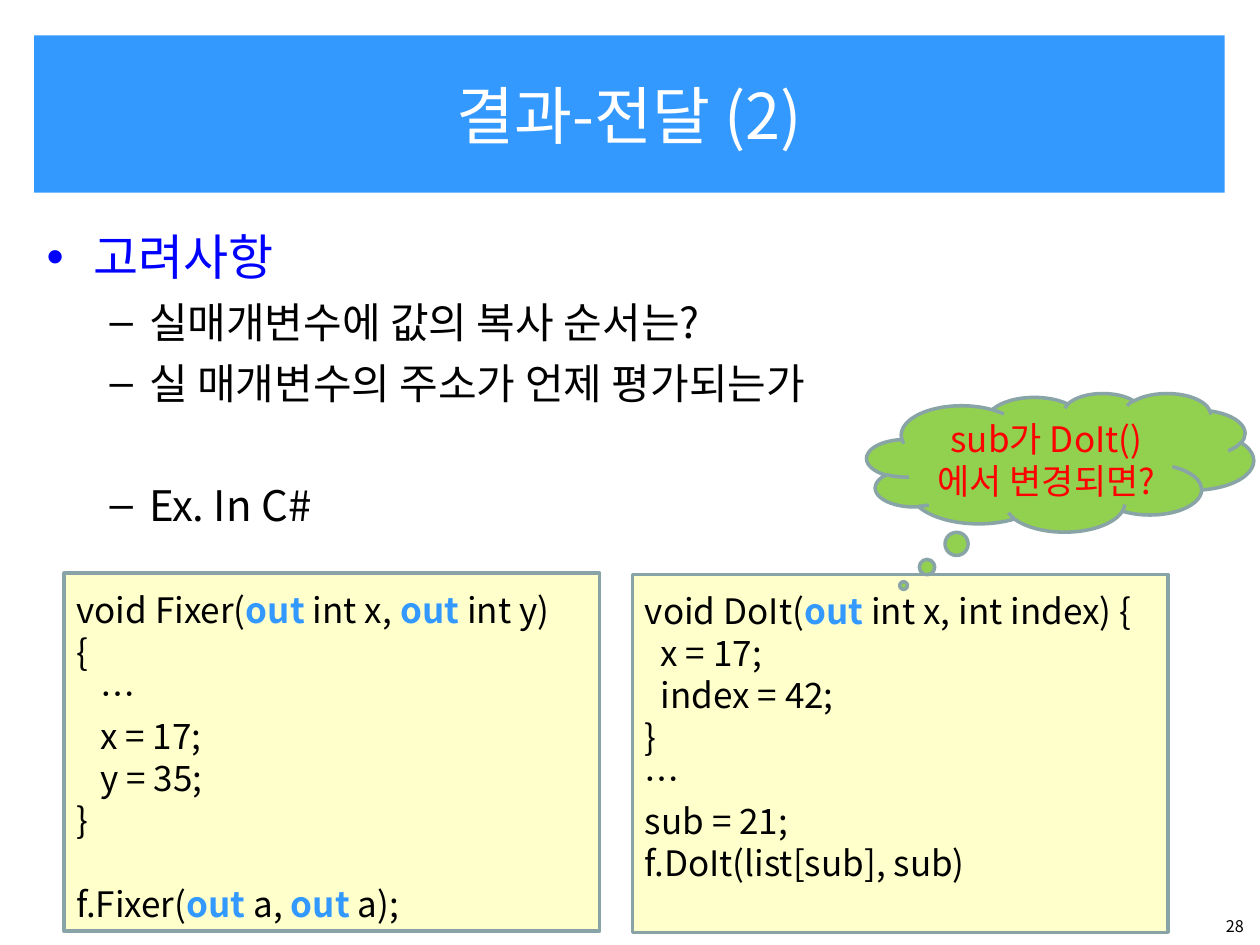
from lxml.etree import SubElement
from pptx import Presentation
from pptx.dml.color import RGBColor
from pptx.enum.shapes import MSO_SHAPE as Preset
from pptx.enum.text import MSO_ANCHOR as Anchor, PP_ALIGN as Align
from pptx.oxml.ns import qn
from pptx.util import Inches, Pt

FONT = "Noto Sans CJK KR"
LINE_HEIGHT = 1.2
CODE_SIZE = 20
KEYWORD = "out"

WHITE = RGBColor(0xFF, 0xFF, 0xFF)
BLACK = RGBColor(0x00, 0x00, 0x00)
SKY = RGBColor(0x33, 0x99, 0xFF)
BLUE = RGBColor(0x00, 0x00, 0xFF)
RED = RGBColor(0xFF, 0x00, 0x00)
CREAM = RGBColor(0xFF, 0xFF, 0xCC)
GREEN = RGBColor(0x92, 0xD0, 0x50)
GREY = RGBColor(0x89, 0xA4, 0xA7)

FIXER_CODE = [
    "void Fixer(out int x, out int y)",
    "{",
    "   …",
    "   x = 17;",
    "   y = 35;",
    "}",
    "",
    "f.Fixer(out a, out a);",
]
DOIT_CODE = [
    "void DoIt(out int x, int index) {",
    "  x = 17;",
    "  index = 42;",
    "}",
    "…",
    "sub = 21;",
    "f.DoIt(list[sub], sub)",
]


def format_run(run, size, color, bold=False):
    run.font.size = Pt(size)
    run.font.bold = bold
    run.font.color.rgb = color
    run.font.name = FONT
    SubElement(run._r.get_or_add_rPr(), qn("a:ea")).set("typeface", FONT)


def format_paragraph(paragraph, size, color, align=None):
    paragraph.alignment = align
    paragraph.line_spacing = Pt(size * LINE_HEIGHT)
    for run in paragraph.runs:
        format_run(run, size, color)


def place(shape, box):
    shape.left, shape.top, shape.width, shape.height = map(Inches, box)


def add_title(slide, box):
    title = slide.shapes.title
    place(title, box)
    title.fill.solid()
    title.fill.fore_color.rgb = SKY
    text_frame = title.text_frame
    text_frame.text = "결과-전달 (2)"
    text_frame.vertical_anchor = Anchor.MIDDLE
    format_paragraph(text_frame.paragraphs[0], 36, WHITE, Align.CENTER)


def add_considerations(slide, box):
    body = slide.placeholders[1]
    place(body, box)
    # text, level, size, colour, space before
    items = [
        ("고려사항", 0, 28, BLUE, 0),
        ("실매개변수에 값의 복사 순서는?", 1, 24, BLACK, 6),
        ("실 매개변수의 주소가 언제 평가되는가", 1, 24, BLACK, 6),
        ("Ex. In C#", 1, 24, BLACK, 41),
    ]
    text_frame = body.text_frame
    text_frame.text = "\n".join(item[0] for item in items)
    for paragraph, (_, level, size, color, gap) in zip(text_frame.paragraphs, items):
        paragraph.level = level
        paragraph.space_before = Pt(gap)
        format_paragraph(paragraph, size, color)


def add_outlined_shape(slide, preset, box, fill):
    shape = slide.shapes.add_shape(preset, *map(Inches, box))
    shape.shadow.inherit = False
    shape.fill.solid()
    shape.fill.fore_color.rgb = fill
    shape.line.color.rgb = GREY
    shape.line.width = Pt(2)
    shape.text_frame.word_wrap = True
    return shape


def add_code_line(paragraph, line):
    """Write one line of code with its keywords in bold blue."""
    for index, piece in enumerate(line.split(KEYWORD)):
        if index:
            run = paragraph.add_run()
            run.text = KEYWORD
            format_run(run, CODE_SIZE, SKY, bold=True)
        if piece:
            run = paragraph.add_run()
            run.text = piece
            format_run(run, CODE_SIZE, BLACK)


def add_code_box(slide, box, lines):
    """Draw a code box; an empty line becomes space before the next one."""
    text_frame = add_outlined_shape(slide, Preset.RECTANGLE, box, CREAM).text_frame
    text_frame.vertical_anchor = Anchor.TOP
    text_frame.margin_top = Inches(0.12)
    paragraph, gap = text_frame.paragraphs[0], 0
    for index, line in enumerate(lines):
        if not line:
            gap += CODE_SIZE * LINE_HEIGHT
            continue
        if index:
            paragraph = text_frame.add_paragraph()
        paragraph.alignment = Align.LEFT
        paragraph.line_spacing = Pt(CODE_SIZE * LINE_HEIGHT)
        paragraph.space_before = Pt(gap)
        add_code_line(paragraph, line)
        gap = 0


def add_question_cloud(slide, box):
    cloud = add_outlined_shape(slide, Preset.CLOUD_CALLOUT, box, GREEN)
    cloud.adjustments[0] = -0.405
    cloud.adjustments[1] = 0.889
    text_frame = cloud.text_frame
    text_frame.text = "sub가 DoIt()에서 변경되면?"
    text_frame.vertical_anchor = Anchor.MIDDLE
    format_paragraph(text_frame.paragraphs[0], 20, RED, Align.CENTER)


def add_page_number(slide, box):
    text_frame = slide.shapes.add_textbox(*map(Inches, box)).text_frame
    text_frame.word_wrap = True
    text_frame.text = "28"
    format_paragraph(text_frame.paragraphs[0], 9.2, BLACK, Align.RIGHT)


def main():
    presentation = Presentation()
    presentation.slide_width = Inches(10)
    presentation.slide_height = Inches(7.5)
    slide = presentation.slides.add_slide(presentation.slide_layouts[1])
    add_title(slide, (0.27, 0.28, 9.45, 1.25))
    add_considerations(slide, (0.27, 1.75, 9.45, 5.54))
    add_page_number(slide, (9.3, 7.22, 0.67, 0.28))
    add_code_box(slide, (5.02, 4.56, 4.25, 2.84), DOIT_CODE)
    add_question_cloud(slide, (6.88, 3.12, 3.07, 1.1))
    add_code_box(slide, (0.51, 4.55, 4.25, 2.84), FIXER_CODE)
    presentation.save("out.pptx")


if __name__ == "__main__":
    main()
